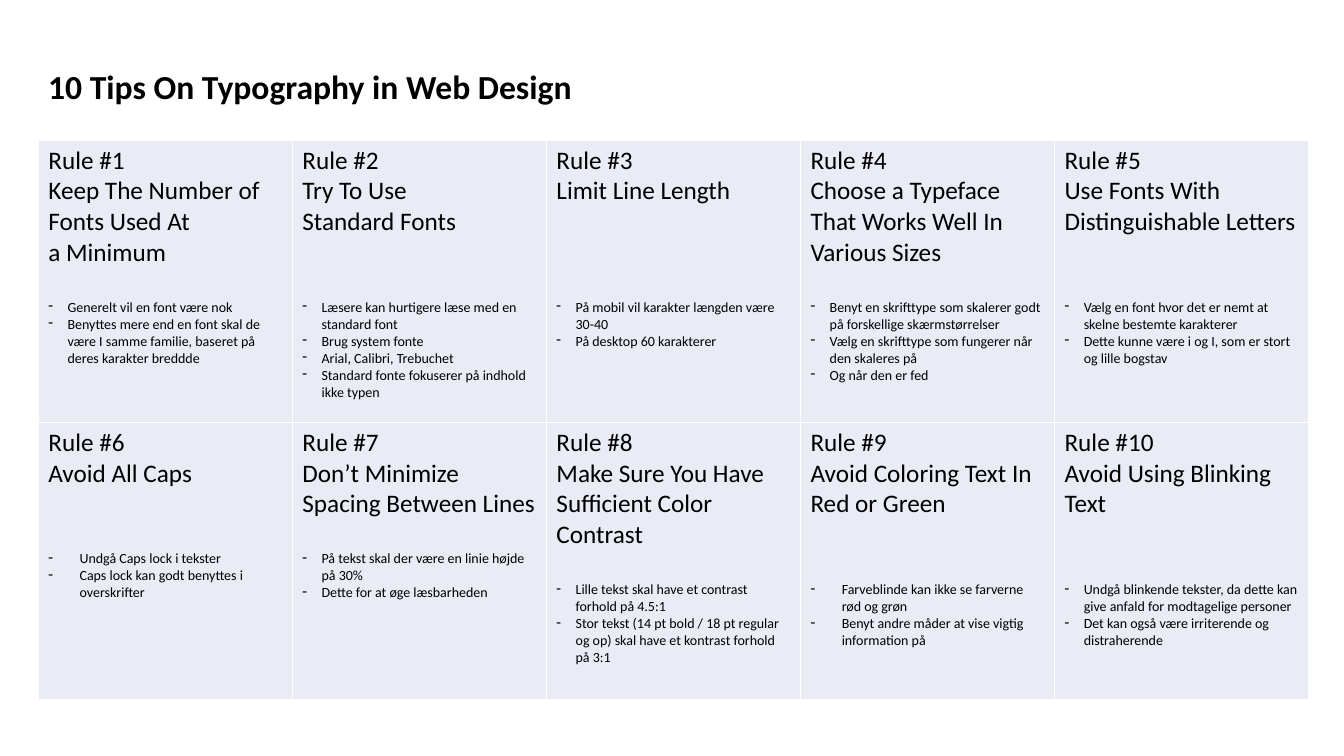
from lxml import etree
from pptx import Presentation
from pptx.dml.color import RGBColor
from pptx.enum.text import MSO_AUTO_SIZE
from pptx.oxml.ns import qn
from pptx.util import Inches, Pt

FIT_SHAPE = MSO_AUTO_SIZE.SHAPE_TO_FIT_TEXT
FONT = "Calibri"
COLORS = {"text": "000000", "cell": "E9EBF5", "border": "FFFFFF"}
TITLE = "10 Tips On Typography in Web\u00a0Design"
NARROW, WIDE = 0.19, 0.31  # bullet indents in inches

# Each rule: heading, gap below it in heading lines, bullet indent, bullets
RULES = [
    ("Keep The Number of Fonts Used At a\u00a0Minimum", 1, NARROW, [
        "Generelt vil en font være nok",
        "Benyttes mere end en font skal de være I samme familie, baseret på deres karakter breddde"]),
    ("Try To Use Standard\u00a0Fonts", 2, NARROW, [
        "Læsere kan hurtigere læse med en standard font",
        "Brug system fonte",
        "Arial, Calibri, Trebuchet",
        "Standard fonte fokuserer på indhold ikke typen"]),
    ("Limit Line\u00a0Length", 3, NARROW, [
        "På mobil vil karakter længden være 30-40",
        "På desktop 60 karakterer"]),
    ("Choose a Typeface That Works Well In Various Sizes", 1, NARROW, [
        "Benyt en skrifttype som skalerer godt på forskellige skærmstørrelser",
        "Vælg en skrifttype som fungerer når den skaleres på",
        "Og når den er fed"]),
    ("Use Fonts With Distinguishable Letters", 2, NARROW, [
        "Vælg en font hvor det er nemt at skelne bestemte karakterer",
        "Dette kunne være i og I, som er stort og lille bogstav"]),
    ("Avoid All Caps", 2, WIDE, [
        "Undgå Caps lock i tekster",
        "Caps lock kan godt benyttes i overskrifter"]),
    ("Don’t Minimize Spacing Between Lines", 1, NARROW, [
        "På tekst skal der være en linie højde på 30%",
        "Dette for at øge læsbarheden"]),
    ("Make Sure You Have Sufficient Color Contrast", 1, NARROW, [
        "Lille tekst skal have et contrast forhold på 4.5:1",
        "Stor tekst (14 pt bold / 18 pt regular og op) skal have et kontrast forhold på 3:1"]),
    ("Avoid Coloring Text In Red or Green", 2, WIDE, [
        "Farveblinde kan ikke se farverne rød og grøn",
        "Benyt andre måder at vise vigtig information på"]),
    ("Avoid Using Blinking Text", 2, NARROW, [
        "Undgå blinkende tekster, da dette kan give anfald for modtagelige personer",
        "Det kan også være irriterende og distraherende"]),
]

COLUMNS = 5
COLUMN_WIDTH = 2.52
ROW_HEIGHTS = [2.8, 2.75]
LEFT, TITLE_TOP, TABLE_TOP = 0.38, 0.6, 1.39
HEADING_SIZE, BULLET_SIZE, TITLE_SIZE = 18, 10, 24
HEADING_LINE = 22  # points


def add_text(frame, text, size=HEADING_SIZE, bold=False, space_before=0, indent=None):
    """Add a paragraph, using the empty first one if there is one."""
    paragraph = frame.paragraphs[-1]
    if paragraph.runs:
        paragraph = frame.add_paragraph()
    paragraph.space_before = Pt(space_before)
    run = paragraph.add_run()
    run.text = text
    run.font.name = FONT
    run.font.size = Pt(size)
    run.font.bold = bold
    run.font.color.rgb = RGBColor.from_string(COLORS["text"])
    if indent:
        properties = paragraph._p.get_or_add_pPr()
        properties.set("marL", str(Inches(indent)))
        properties.set("indent", str(-Inches(indent)))
        etree.SubElement(properties, qn("a:buChar")).set("char", "-")


def style_cell(cell):
    """Give a cell its fill and its four thin borders."""
    cell.fill.solid()
    cell.fill.fore_color.rgb = RGBColor.from_string(COLORS["cell"])
    properties = cell._tc.get_or_add_tcPr()
    for position, side in enumerate(("lnL", "lnR", "lnT", "lnB")):
        line = etree.Element(qn(f"a:{side}"), w=str(Pt(1)))
        fill = etree.SubElement(line, qn("a:solidFill"))
        etree.SubElement(fill, qn("a:srgbClr")).set("val", COLORS["border"])
        properties.insert(position, line)


def add_rules_table(slide):
    """Lay the rules out in a grid, row by row."""
    table = slide.shapes.add_table(
        len(ROW_HEIGHTS), COLUMNS, Inches(LEFT), Inches(TABLE_TOP),
        Inches(COLUMNS * COLUMN_WIDTH), Inches(sum(ROW_HEIGHTS))).table
    table.first_row = table.horz_banding = False
    for column in table.columns:
        column.width = Inches(COLUMN_WIDTH)
    for row, height in zip(table.rows, ROW_HEIGHTS):
        row.height = Inches(height)
    for index, (heading, gap, indent, bullets) in enumerate(RULES):
        cell = table.cell(*divmod(index, COLUMNS))
        style_cell(cell)
        add_text(cell.text_frame, f"Rule #{index + 1}")
        add_text(cell.text_frame, heading)
        for number, bullet in enumerate(bullets):
            add_text(cell.text_frame, bullet, size=BULLET_SIZE, indent=indent,
                     space_before=0 if number else gap * HEADING_LINE)


def add_title(slide):
    """Add the slide title above the table."""
    title = slide.shapes.add_textbox(
        Inches(LEFT), Inches(TITLE_TOP), Inches(5.44), Inches(0.5))
    title.text_frame.word_wrap = False
    title.text_frame.auto_size = FIT_SHAPE
    add_text(title.text_frame, TITLE, size=TITLE_SIZE, bold=True)


presentation = Presentation()
presentation.slide_width = Inches(13.33)
presentation.slide_height = Inches(7.5)
slide = presentation.slides.add_slide(presentation.slide_layouts[6])
add_rules_table(slide)
add_title(slide)
presentation.save("out.pptx")
